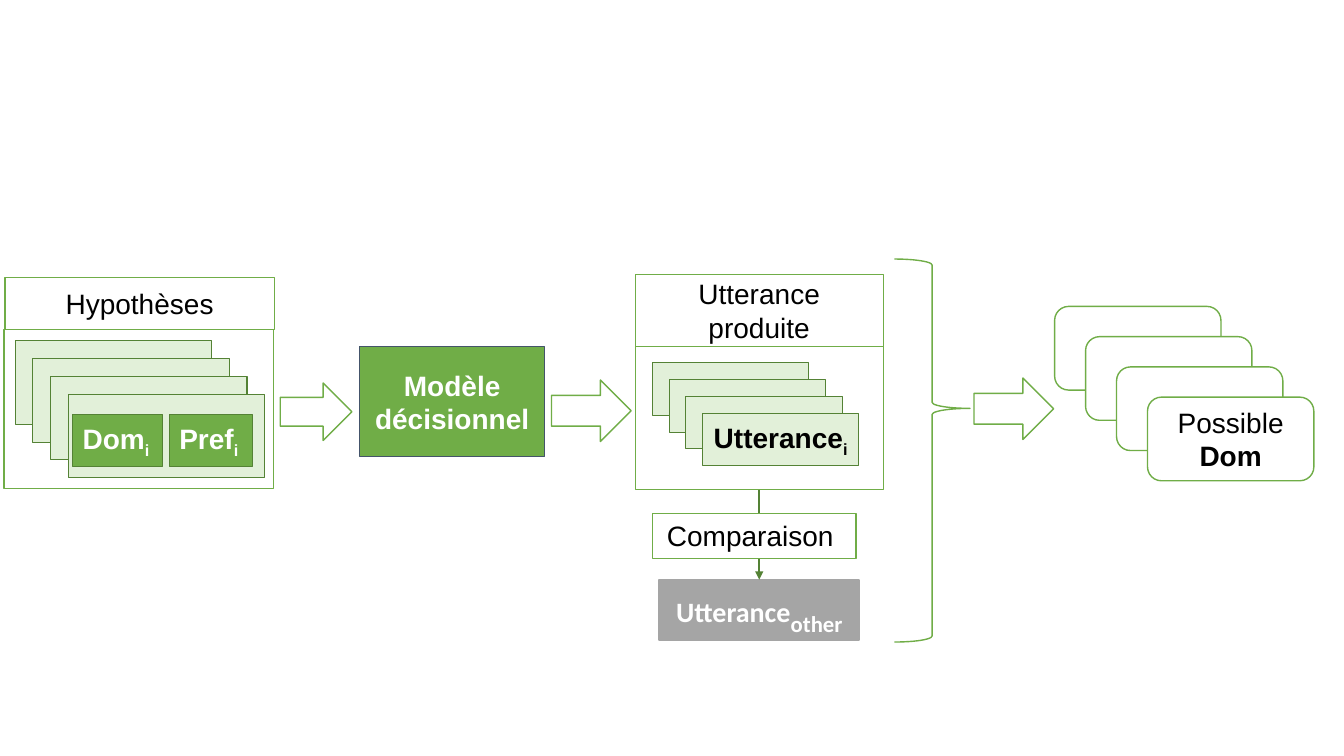
"""Build a slide that shows how utterance hypotheses are compared to find dominance."""
import pptx
import pptx.dml.color
import pptx.enum.shapes
import pptx.enum.text
import pptx.oxml.ns
import pptx.util
from lxml import etree

Inches = pptx.util.Inches
Pt = pptx.util.Pt
RGBColor = pptx.dml.color.RGBColor
Shape = pptx.enum.shapes.MSO_SHAPE
Align = pptx.enum.text.PP_ALIGN

WHITE = RGBColor(0xFF, 0xFF, 0xFF)
BLACK = RGBColor(0x00, 0x00, 0x00)
GREEN = RGBColor(0x70, 0xAD, 0x47)
DARK_GREEN = RGBColor(0x54, 0x82, 0x35)
PALE_GREEN = RGBColor(0xE2, 0xF0, 0xD9)
SLATE = RGBColor(0x44, 0x54, 0x6A)
GREY = RGBColor(0xA5, 0xA5, 0xA5)


def add_box(shapes, bounds, fill=WHITE, line=GREEN, width=0.75, kind=Shape.RECTANGLE):
    """Add a preset shape; a fill of None leaves it hollow."""
    shape = shapes.add_shape(kind, *[Inches(value) for value in bounds])
    shape.shadow.inherit = False
    if fill is None:
        shape.fill.background()
    else:
        shape.fill.solid()
        shape.fill.fore_color.rgb = fill
    shape.line.color.rgb = line
    shape.line.width = Pt(width)
    return shape


def write_label(shape, text, color=BLACK, bold=False, align=Align.CENTER):
    """Write the first run of a shape's label and return its paragraph."""
    frame = shape.text_frame
    frame.word_wrap = True
    frame.vertical_anchor = pptx.enum.text.MSO_ANCHOR.MIDDLE
    paragraph = frame.paragraphs[0]
    paragraph.alignment = align
    add_run(paragraph, text, color, bold)
    return paragraph


def add_run(paragraph, text, color, bold=False, font="Arial", size=20):
    """Append a formatted run to a paragraph."""
    run = paragraph.add_run()
    run.text = text
    run.font.name = font
    run.font.size = Pt(size)
    run.font.bold = bold
    run.font.color.rgb = color
    return run


def add_subscript(paragraph, text, color, font="Arial", size=20):
    """Append a bold subscript run to a paragraph."""
    run = add_run(paragraph, text, color, True, font, size)
    run.font._element.set("baseline", "-25000")


def add_stack(shapes, start, step, size, **style):
    """Add four overlapping boxes at an even step and return the front one."""
    for index in range(4):
        corner = [origin + index * shift for origin, shift in zip(start, step)]
        front = add_box(shapes, (*corner, *size), **style)
    return front


def add_link(shapes, source, target):
    """Join the bottom of one box to the top of another with an arrow."""
    link = shapes.add_connector(pptx.enum.shapes.MSO_CONNECTOR.STRAIGHT, 0, 0, 0, 0)
    link.begin_connect(source, 2)
    link.end_connect(target, 0)
    link.line.color.rgb = DARK_GREEN
    link.line.width = Pt(1.5)
    qn = pptx.oxml.ns.qn
    etree.SubElement(link.line._get_or_add_ln(), qn("a:tailEnd"), type="triangle")
    etree.SubElement(link._element.spPr, qn("a:effectLst"))


def add_hypotheses(shapes):
    """Add the hypotheses panel with its stack of dominance and preference pairs."""
    heading = add_box(shapes, (0.05, 2.75, 2.67, 0.52))
    write_label(heading, "Hypothèses")
    group = shapes.add_group_shape().shapes
    add_stack(group, (0.15, 3.38), (0.175, 0.177), (1.95, 0.83),
              fill=PALE_GREEN, line=DARK_GREEN)
    for name, left, width in (("Dom", 0.72, 0.89), ("Pref", 1.68, 0.82)):
        variable = add_box(group, (left, 4.11, width, 0.52), GREEN, DARK_GREEN)
        paragraph = write_label(variable, name, WHITE, True, Align.LEFT)
        add_subscript(paragraph, "i", WHITE)
    add_box(shapes, (0.04, 3.27, 2.67, 1.58), None)


def add_utterances(shapes):
    """Add the produced utterances and their comparison with the other one."""
    heading = add_box(shapes, (6.3, 2.72, 2.46, 0.72))
    write_label(heading, "Utterance produite")
    panel = add_box(shapes, (6.3, 3.44, 2.46, 1.42), None)
    front = add_stack(shapes, (6.47, 3.6), (0.166, 0.167), (1.55, 0.52),
                      fill=PALE_GREEN, line=DARK_GREEN)
    add_subscript(write_label(front, "Utterance", bold=True), "i", BLACK)

    other = add_box(shapes, (6.54, 5.75, 1.98, 0.6), GREY, GREY, 1.5)
    paragraph = write_label(other, "Utterance", WHITE, True)
    paragraph.runs[0].font.name = "Calibri"
    add_subscript(paragraph, "other", WHITE, "Calibri", 28)
    add_link(shapes, panel, other)
    comparison = add_box(shapes, (6.47, 5.09, 2.02, 0.45))
    write_label(comparison, "Comparaison ")


def add_outcomes(shapes):
    """Add the brace and the stack of possible dominance values."""
    brace = add_box(shapes, (8.87, 2.57, 0.75, 3.8), width=1, kind=Shape.RIGHT_BRACE)
    brace.adjustments[0] = 0.08
    brace.adjustments[1] = 0.39
    group = shapes.add_group_shape().shapes
    front = add_stack(group, (10.46, 3.04), (0.307, 0.3), (1.65, 0.83),
                      width=1, kind=Shape.ROUNDED_RECTANGLE)
    add_run(write_label(front, "Possible "), "Dom", BLACK, True)


def main():
    """Assemble and save the slide."""
    presentation = pptx.Presentation()
    presentation.slide_width = Inches(13.33)
    presentation.slide_height = Inches(7.5)
    slide = presentation.slides.add_slide(presentation.slide_layouts[6])
    shapes = slide.shapes

    add_hypotheses(shapes)
    model = add_box(shapes, (3.57, 3.44, 1.83, 1.09), GREEN, SLATE)
    write_label(model, "Modèle décisionnel", WHITE, True)
    add_utterances(shapes)
    add_outcomes(shapes)
    for bounds in ((2.78, 3.8, 0.71, 0.57), (5.47, 3.77, 0.79, 0.61),
                   (9.66, 3.75, 0.79, 0.61)):
        add_box(shapes, bounds, width=1, kind=Shape.RIGHT_ARROW)

    presentation.save("out.pptx")


if __name__ == "__main__":
    main()
